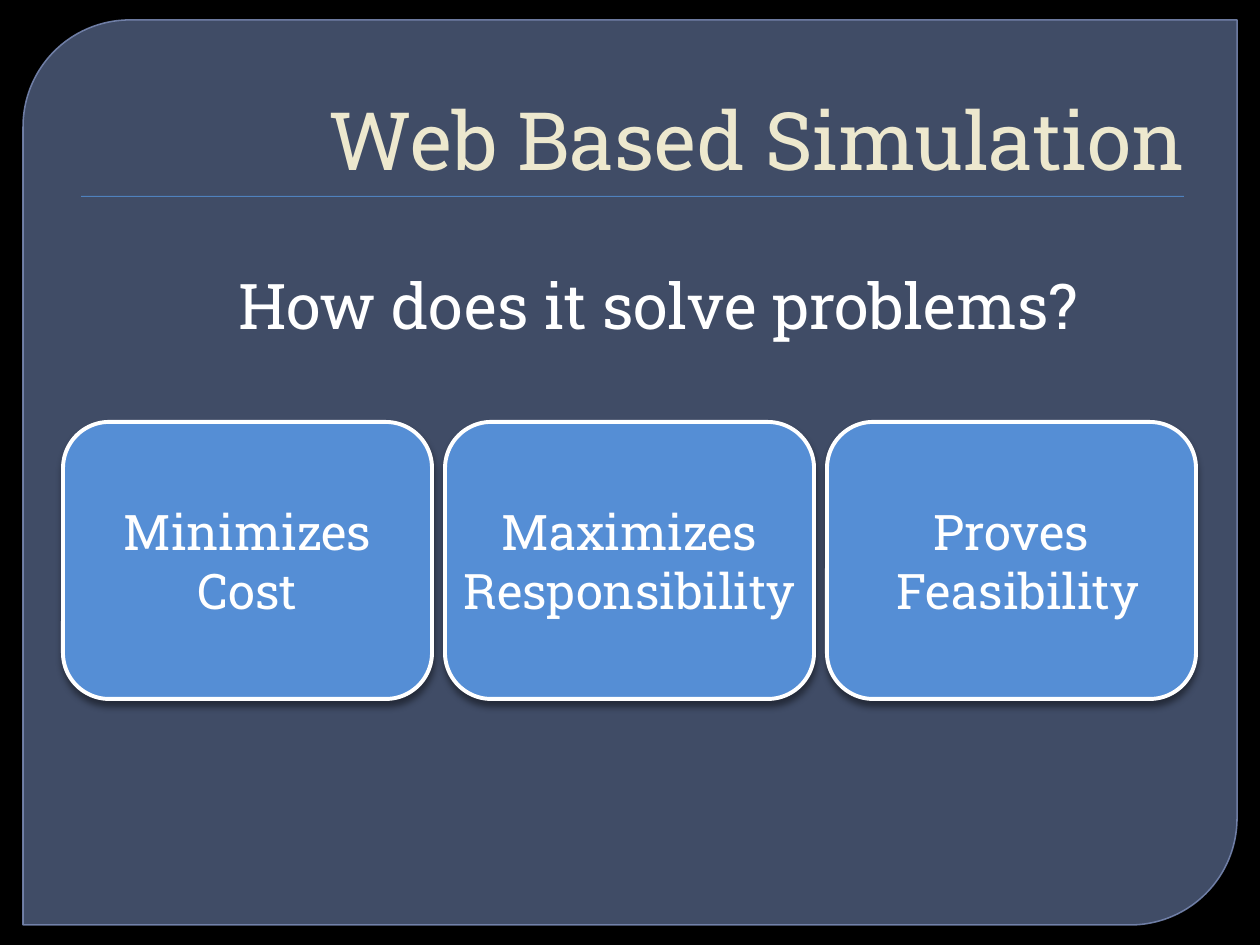
from lxml import etree
from pptx import Presentation
from pptx.dml.color import RGBColor
from pptx.enum.shapes import MSO_SHAPE as Shape
from pptx.enum.text import MSO_ANCHOR as Anchor, PP_ALIGN as Align
from pptx.oxml.ns import qn
from pptx.util import Pt

SCALE = 914400 / 126
FONT = "Roboto Slab"
WHITE = "FFFFFF"


def px(n):
    return round(n * SCALE)


def rgb(code):
    return RGBColor.from_string(code)


def fade(fill, percent):
    """Set the opacity of a solid fill."""
    color = fill._xPr.find(qn("a:solidFill"))[0]
    etree.SubElement(color, qn("a:alpha"), val=str(percent * 1000))


def cast(shape, alpha, blur, dist):
    """Give a shape a black shadow straight below it."""
    shape.shadow.inherit = False
    effects = shape._element.spPr.find(qn("a:effectLst"))
    shade = etree.SubElement(
        effects, qn("a:outerShdw"), blurRad=str(Pt(blur)),
        dist=str(Pt(dist)), dir="5400000", rotWithShape="0")
    black = etree.SubElement(shade, qn("a:srgbClr"), val="000000")
    etree.SubElement(black, qn("a:alpha"), val=str(alpha * 1000))


def add_block(slide, kind, box, fill, line=None, width=0):
    block = slide.shapes.add_shape(kind, *map(px, box))
    block.shadow.inherit = False
    block.fill.solid()
    block.fill.fore_color.rgb = rgb(fill)
    if line:
        block.line.color.rgb = rgb(line)
        block.line.width = Pt(width)
    else:
        block.line.fill.background()
    return block


def add_text(slide, box, lines, size, color=WHITE, align=Align.CENTER,
             anchor=Anchor.MIDDLE, indent=0):
    frame = slide.shapes.add_textbox(*map(px, box)).text_frame
    frame.word_wrap = True
    frame.vertical_anchor = anchor
    for i, line in enumerate(lines):
        para = frame.add_paragraph() if i else frame.paragraphs[0]
        para.alignment = align
        if indent:
            para._p.get_or_add_pPr().set("marL", str(px(indent)))
        run = para.add_run()
        run.text = line
        run.font.name = FONT
        run.font.size = Pt(size)
        run.font.color.rgb = rgb(color)


def add_panel(slide):
    panel = add_block(slide, Shape.ROUND_2_DIAG_RECTANGLE,
                      (23, 20, 1214, 905), "63759D", "7989B3", 0.87)
    panel.adjustments[0] = 0.118
    panel.adjustments[1] = 0
    fade(panel.fill, 65)
    fade(panel.line.fill, 88)


def add_cards(slide, cards):
    left, top, wide, high, pitch = 63, 422, 369, 277, 382
    boxes = [(left + i * pitch, top, wide, high) for i in range(len(cards))]
    for box in reversed(boxes):
        card = add_block(slide, Shape.ROUNDED_RECTANGLE, box,
                         "558ED5", WHITE, 2.25)
        cast(card, 43, 4, 3)
    for box, lines in zip(boxes, cards):
        add_text(slide, box, lines, 28)


def main():
    deck = Presentation()
    deck.slide_width, deck.slide_height = px(1260), px(945)
    slide = deck.slides.add_slide(deck.slide_layouts[6])
    slide.background.fill.solid()
    slide.background.fill.fore_color.rgb = rgb("000000")

    add_panel(slide)
    rule = add_block(slide, Shape.RECTANGLE, (81, 196, 1103, 1), "4F81BD")
    cast(rule, 75, 1, 1)
    add_text(slide, (63, 35, 1134, 158), ["Web Based Simulation"], 46,
             "EDE8CE", Align.RIGHT, Anchor.BOTTOM, 8)
    add_cards(slide, [["Minimizes", "Cost"],
                      ["Maximizes Responsibility"],
                      ["Proves", " Feasibility"]])
    add_text(slide, (63, 260, 1134, 94), ["How does it solve problems?"], 36,
             anchor=Anchor.TOP, indent=57)
    deck.save("out.pptx")


if __name__ == "__main__":
    main()
